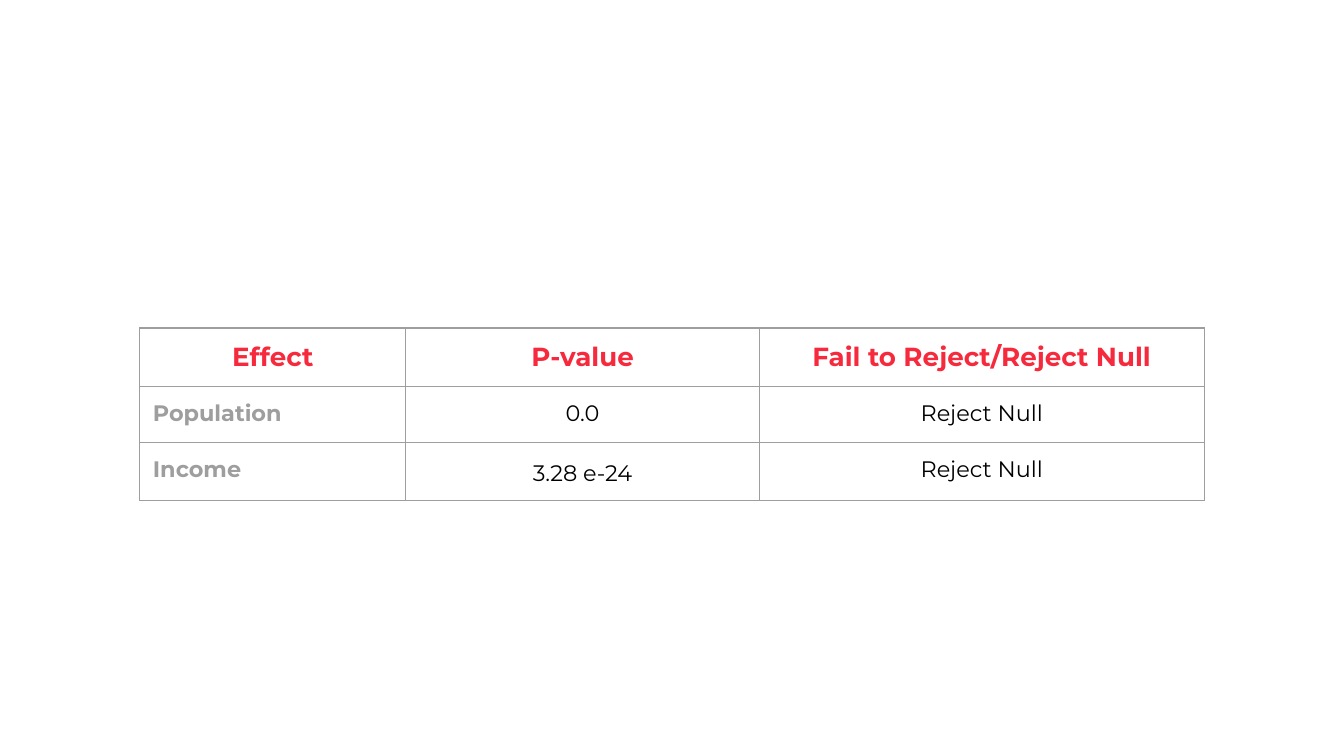
from lxml import etree
from pptx import Presentation
from pptx.dml.color import RGBColor
from pptx.enum import text as t
from pptx.oxml import ns
from pptx.util import Cm, Pt

# Content
ROWS = [
    ("Effect", "P-value", "Fail to Reject/Reject Null"),
    ("Population", "0.0", "Reject Null"),
    ("Income", "3.28 e-24", "Reject Null"),
]
WIDTHS = [5.03, 6.68, 8.41]
HEIGHT = 1.06
LEFT, TOP = 2.64, 6.2
PAD = 0.25
FONT = "Montserrat"
RED, GREY, BLACK = "F62A3C", "9E9E9E", "000000"


def color(code):
    return RGBColor.from_string(code)


def border(cell, code, width):
    props = cell._tc.get_or_add_tcPr()
    for i, side in enumerate(("lnL", "lnR", "lnT", "lnB")):
        line = etree.Element(ns.qn("a:" + side), w=str(Pt(width)))
        fill = etree.SubElement(line, ns.qn("a:solidFill"))
        etree.SubElement(fill, ns.qn("a:srgbClr"), val=code)
        props.insert(i, line)


def style(cell, row, col):
    head, label = row == 0, col == 0
    cell.fill.background()
    border(cell, GREY, 0.75)
    cell.margin_left = cell.margin_right = Cm(PAD)
    cell.margin_top = cell.margin_bottom = Cm(PAD)
    para = cell.text_frame.paragraphs[0]
    left = label and not head
    para.alignment = t.PP_ALIGN.LEFT if left else t.PP_ALIGN.CENTER
    font = para.runs[0].font
    font.name = FONT
    font.size = Pt(14 if head else 12)
    font.bold = head or label
    font.color.rgb = color(RED if head else GREY if label else BLACK)


# Slide
deck = Presentation()
deck.slide_width, deck.slide_height = Cm(25.4), Cm(14.29)
slide = deck.slides.add_slide(deck.slide_layouts[6])

# Table
frame = slide.shapes.add_table(
    len(ROWS), len(WIDTHS), Cm(LEFT), Cm(TOP),
    Cm(sum(WIDTHS)), Cm(HEIGHT * len(ROWS)))
table = frame.table
table.first_row = table.horz_banding = False
for col, width in zip(table.columns, WIDTHS):
    col.width = Cm(width)
for r, row in enumerate(ROWS):
    table.rows[r].height = Cm(HEIGHT)
    for c, words in enumerate(row):
        cell = table.cell(r, c)
        cell.text_frame.text = words
        style(cell, r, c)

# The last p-value is set with looser lines
table.cell(2, 1).text_frame.paragraphs[0].line_spacing = 1.15

deck.save("out.pptx")
